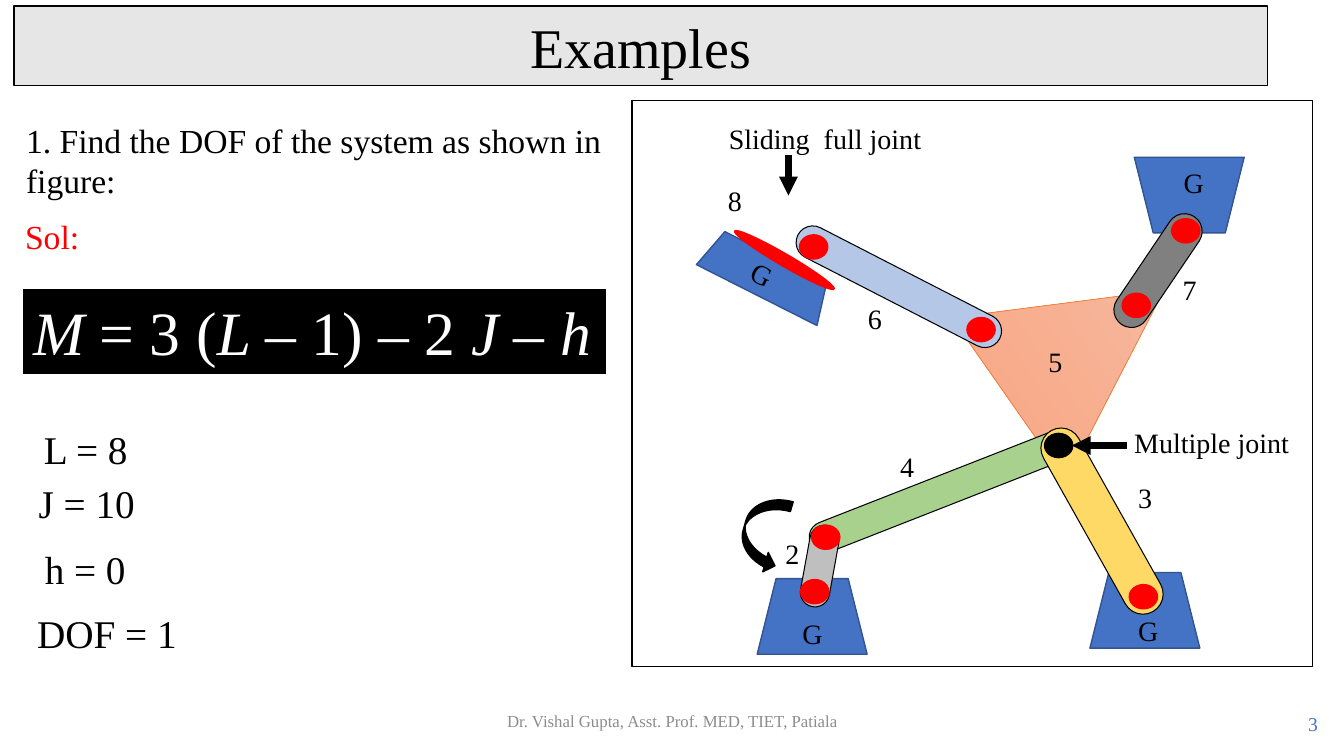
from pptx import Presentation
from pptx.dml.color import RGBColor
from pptx.enum.shapes import MSO_CONNECTOR, MSO_SHAPE as Preset
from pptx.enum.text import MSO_ANCHOR as Anchor, MSO_AUTO_SIZE as AutoSize, PP_ALIGN as Align
from pptx.oxml import parse_xml
from pptx.oxml.ns import nsdecls
from pptx.util import Emu, Pt

FONT = "Times New Roman"
COLORS = {
    "black": "000000", "white": "FFFFFF", "red": "FF0000", "banner": "E7E6E6",
    "blue": "4472C4", "navy": "325491", "orange": "ED7D31", "peach": "F7BDA5",
    "salmon": "F8A582", "green": "A9D18E", "yellow": "FFD966", "silver": "BFBFBF",
    "sky": "B4C7E7", "grey": "808080", "footer": "8C8C8C",
}
PX = 9144


class Board:
    def __init__(self, deck):
        self.page = deck.slides.add_slide(deck.slide_layouts[5])

    def color(self, name):
        return RGBColor.from_string(COLORS[name])

    def place(self, shape, at):
        shape.left, shape.top, shape.width, shape.height = [Emu(n * PX) for n in at]

    def paint(self, shape, fill, line, weight):
        if fill:
            shape.fill.solid()
            shape.fill.fore_color.rgb = self.color(fill)
        else:
            shape.fill.background()
        shape.line.color.rgb = self.color(line)
        shape.line.width = Pt(weight)

    def style(self, para, size, color, align):
        para.alignment = align
        para.font.name = FONT
        para.font.size = Pt(size)
        para.font.color.rgb = self.color(color)

    def title(self, text, at):
        banner = self.page.shapes.title
        self.place(banner, at)
        banner._element.spPr.append(parse_xml(
            f'<a:prstGeom {nsdecls("a")} prst="verticalScroll"><a:avLst/></a:prstGeom>'))
        self.paint(banner, "banner", "black", 1)
        frame = banner.text_frame
        frame.text = text
        frame.auto_size = AutoSize.NONE
        frame.vertical_anchor = Anchor.MIDDLE
        self.style(frame.paragraphs[0], 40, "black", Align.CENTER)

    def shape(self, preset, at, fill=None, line="black", weight=1, rotation=0):
        shape = self.page.shapes.add_shape(preset, *[Emu(n * PX) for n in at])
        shape.shadow.inherit = False
        shape.rotation = rotation
        self.paint(shape, fill, line, weight)
        return shape

    def bar(self, at, fill, rotation):
        bar = self.shape(Preset.ROUNDED_RECTANGLE, at, fill, "black", 0.75, rotation)
        bar.adjustments[0] = 0.5

    def joint(self, left, top, color="red"):
        self.shape(Preset.OVAL, (left, top, 28, 24), color, color)

    def plate(self, at, rotation):
        plate = self.shape(Preset.ISOSCELES_TRIANGLE, at, None, "orange", 0.5, rotation)
        plate.fill.gradient()
        plate.fill.gradient_angle = 270
        for stop, name in zip(plate.fill.gradient_stops, ("peach", "salmon")):
            stop.color.rgb = self.color(name)

    def text(self, text, at, size=20, color="black", align=Align.LEFT,
             wrap=True, anchor=Anchor.TOP, rotation=0):
        box = self.page.shapes.add_textbox(*[Emu(n * PX) for n in at])
        box.rotation = rotation
        frame = box.text_frame
        frame.word_wrap = wrap
        frame.vertical_anchor = anchor
        para = frame.paragraphs[0]
        self.style(para, size, color, align)
        spans = [(text, False)] if isinstance(text, str) else text
        for words, italic in spans:
            span = para.add_run()
            span.text = words
            if italic:
                span.font.italic = True
        return box

    def arrow(self, start, end):
        line = self.page.shapes.add_connector(
            MSO_CONNECTOR.STRAIGHT, *[Emu(n * PX) for n in start + end])
        line.line.color.rgb = self.color("black")
        line.line.width = Pt(4.5)
        line.line._get_or_add_ln().append(
            parse_xml(f'<a:tailEnd {nsdecls("a")} type="triangle"/>'))
        line._element.spPr.append(parse_xml(f'<a:effectLst {nsdecls("a")}/>'))


def draw_linkage(board):
    board.shape(Preset.TRAPEZOID, (1125, 156, 109, 75), "blue", "navy", rotation=180)
    board.plate((979, 248, 197, 188), 55)
    for left, top in ((1081, 568), (751, 574)):
        board.shape(Preset.TRAPEZOID, (left, top, 109, 75), "blue", "navy")

    for at, fill, rotation in (
        ((794, 472, 280, 31), "green", 338.6),
        ((990, 497, 206, 40), "yellow", 60.7),
        ((772, 547, 82, 29), "silver", 280.3),
        ((779, 268, 225, 33), "sky", 27.2),
        ((1084, 251, 129, 35), "grey", 124),
    ):
        board.bar(at, fill, rotation)

    board.shape(Preset.TRAPEZOID, (693, 253, 134, 42), "blue", "navy", rotation=26.8)
    board.text("G", (735, 254, 58, 44), rotation=26.1)
    board.shape(Preset.CURVED_RIGHT_ARROW, (737, 491, 40, 76), "black", rotation=15.9)
    board.shape(Preset.RECTANGLE, (627, 100, 675, 561))

    for label, left, top in (
        ("G", 786, 607), ("G", 1119, 604), ("G", 1164, 159),
        ("2", 769, 527), ("3", 1119, 472), ("4", 883, 441), ("5", 1030, 337),
        ("6", 851, 294), ("7", 1163, 265), ("8", 712, 177),
    ):
        board.text(label, (left, top, 58, 44))

    for left, top in ((794, 575), (805, 521), (1120, 580), (1162, 217),
                      (1113, 291), (959, 315), (793, 233)):
        board.joint(left, top)
    board.shape(Preset.OVAL, (721, 252, 114, 12), "red", "red", rotation=30.2)
    board.joint(1036, 430, "black")

    board.text("Sliding  full joint", (713, 116, 227, 44))
    board.arrow((782, 154), (782, 194))
    board.text("Multiple joint", (1115, 417, 179, 44))
    board.arrow((1118, 442), (1063, 442))


def draw_solution(board):
    board.text("1. Find the DOF of the system as shown in figure:", (16, 114, 616, 91), 24)
    board.text("Sol:", (15, 209, 88, 50), 24, "red")
    formula = board.text(
        [("M ", True), ("= 3 (", False), ("L ", True), ("– 1) – 2 ", False),
         ("J ", True), ("– ", False), ("h", True)],
        (23, 287, 578, 84), 44, "white", wrap=False)
    board.paint(formula, "black", "black", 0.75)
    for text, left, top, width in (
        ("L = 8", 33, 417, 104), ("J = 10", 28, 471, 116),
        ("h = 0", 34, 536, 101), ("DOF = 1", 26, 600, 160),
    ):
        board.text(text, (left, top, width, 57), 28, align=Align.CENTER, wrap=False)


def main():
    deck = Presentation()
    deck.slide_width, deck.slide_height = Emu(1333 * PX), Emu(750 * PX)
    board = Board(deck)
    board.title("Examples", (14, 6, 1243, 79))
    draw_linkage(board)
    draw_solution(board)
    board.text("Dr. Vishal Gupta, Asst. Prof. MED, TIET, Patiala", (442, 695, 450, 40),
               12, "footer", Align.CENTER, anchor=Anchor.MIDDLE)
    board.text("3", (1267, 698, 50, 40), 14, "blue", Align.RIGHT, anchor=Anchor.MIDDLE)
    deck.save("out.pptx")


if __name__ == "__main__":
    main()
